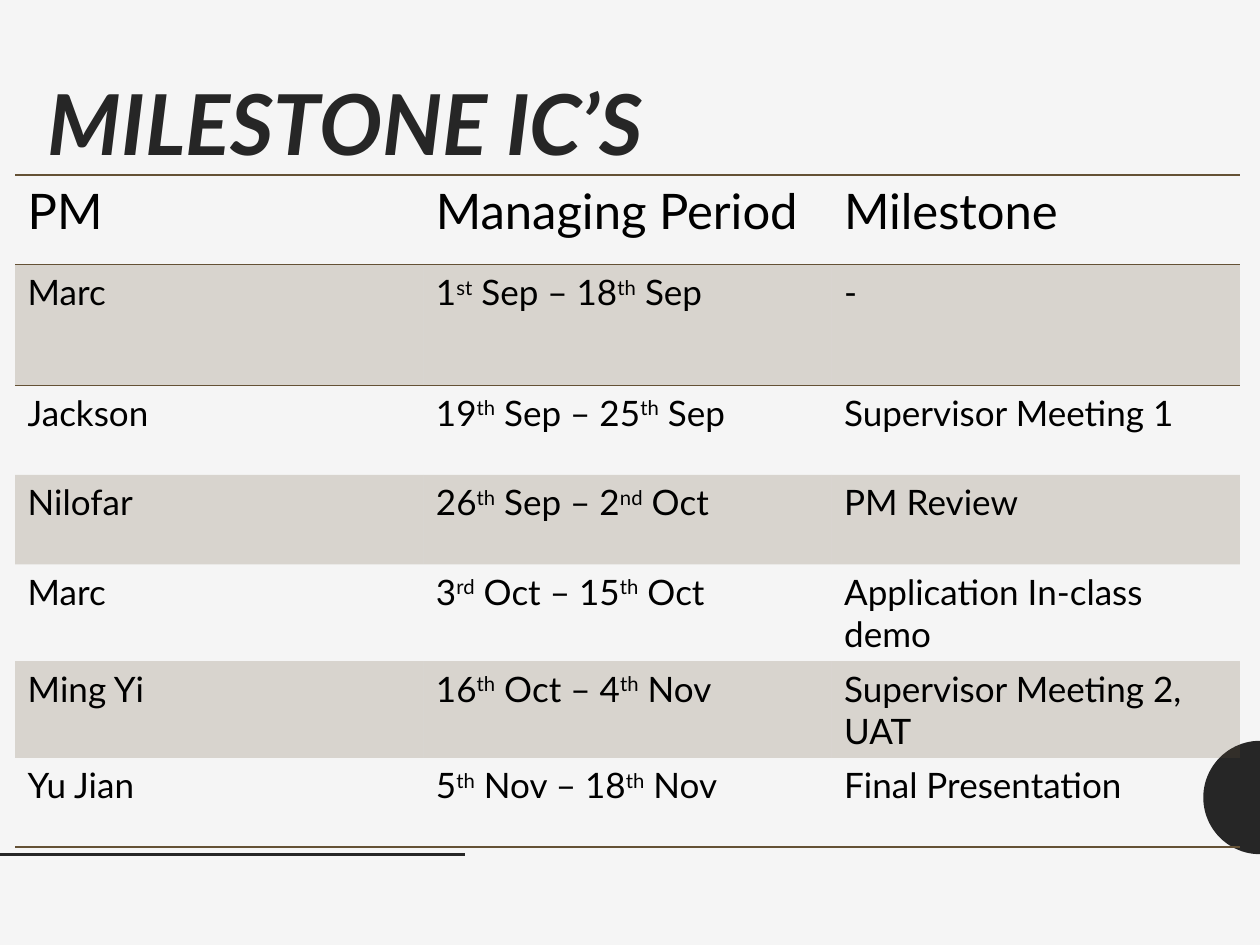
import math
from dataclasses import dataclass

from lxml import etree
from pptx import Presentation
from pptx.dml.color import RGBColor
from pptx.enum.shapes import MSO_CONNECTOR
from pptx.enum.text import MSO_ANCHOR
from pptx.oxml.ns import qn
from pptx.util import Inches, Pt

STRAIGHT = MSO_CONNECTOR.STRAIGHT
TOP = MSO_ANCHOR.TOP
PLAIN_TABLE_STYLE = "{2D5ABB26-0587-4C30-8999-92F81FD0307C}"


@dataclass(frozen=True)
class Theme:
    font: str = "Lato"
    background: str = "F5F5F5"
    dark: str = "262626"
    text: str = "000000"
    accent: str = "645135"
    band_opacity: int = 20
    title_size: int = 48
    header_size: int = 28
    body_size: int = 20


THEME = Theme()

HEADERS = ("PM", "Managing Period", "Milestone")
MILESTONES = (
    ("Marc", "1^st^ Sep – 18^th^ Sep", "-"),
    ("Jackson", "19^th^ Sep – 25^th^ Sep", "Supervisor Meeting 1"),
    ("Nilofar", "26^th^ Sep – 2^nd^ Oct", "PM Review"),
    ("Marc", "3^rd^ Oct – 15^th^ Oct", "Application In-class demo"),
    ("Ming Yi", "16^th^ Oct – 4^th^ Nov", "Supervisor Meeting 2, UAT"),
    ("Yu Jian", "5^th^ Nov – 18^th^ Nov", "Final Presentation"),
)


def color(value):
    return RGBColor.from_string(value)


def write_text(frame, text, size, fill=THEME.text, bold=False, italic=False, spacing=None):
    frame.word_wrap = True
    paragraph = frame.paragraphs[0]
    paragraph.line_spacing = spacing
    for index, part in enumerate(text.split("^")):
        run = paragraph.add_run()
        run.text = part
        font = run.font
        font.name = THEME.font
        font.size = Pt(size)
        font.bold = bold
        font.italic = italic
        font.color.rgb = color(fill)
        if index % 2:
            run._r.get_or_add_rPr().set("baseline", "30000")


def add_title(slide, text):
    box = slide.shapes.add_textbox(Inches(0.28), Inches(0.61), Inches(7.64), Inches(5.42))
    box.text_frame.vertical_anchor = TOP
    write_text(box.text_frame, text, THEME.title_size, fill=THEME.dark,
               bold=True, italic=True, spacing=0.9)


def add_half_disc(slide, center_x, center_y, radius, steps=48):
    angles = [math.pi / 2 + math.pi * step / steps for step in range(steps + 1)]
    points = [(Inches(center_x + radius * math.cos(angle)),
               Inches(center_y + radius * math.sin(angle))) for angle in angles]
    builder = slide.shapes.build_freeform(*points[0])
    builder.add_line_segments(points[1:], close=True)
    shape = builder.convert_to_shape()
    shape.shadow.inherit = False
    shape.fill.solid()
    shape.fill.fore_color.rgb = color(THEME.dark)
    shape.line.fill.background()


def add_rule(slide, left, right, top):
    line = slide.shapes.add_connector(STRAIGHT, Inches(left), Inches(top), Inches(right), Inches(top))
    line.line.color.rgb = color(THEME.dark)
    line.line.width = Pt(2)
    etree.SubElement(line._element.spPr, qn("a:effectLst"))


def fill_cell(cell, banded):
    if not banded:
        cell.fill.background()
        return
    cell.fill.solid()
    cell.fill.fore_color.rgb = color(THEME.accent)
    tint = cell._tc.tcPr.find(".//" + qn("a:srgbClr"))
    etree.SubElement(tint, qn("a:alpha"), val=str(THEME.band_opacity * 1000))


def border_cell(cell, sides):
    properties = cell._tc.get_or_add_tcPr()
    for index, side in enumerate(sides):
        line = etree.Element(qn("a:ln" + side), w=str(Pt(1)))
        solid = etree.SubElement(line, qn("a:solidFill"))
        etree.SubElement(solid, qn("a:srgbClr"), val=THEME.accent)
        properties.insert(index, line)


def add_milestone_table(slide):
    rows = (HEADERS,) + MILESTONES
    frame = slide.shapes.add_table(len(rows), len(HEADERS), Inches(0.12), Inches(1.39),
                                   Inches(9.72), Inches(5.22))
    table = frame.table
    table.first_row = False
    table.horz_banding = False
    table._tbl.tblPr.find(qn("a:tableStyleId")).text = PLAIN_TABLE_STYLE
    for column in table.columns:
        column.width = Inches(3.24)
    last = len(rows) - 1
    for row_index, values in enumerate(rows):
        table.rows[row_index].height = Inches(0.96 if row_index == 1 else 0.71)
        size = THEME.body_size if row_index else THEME.header_size
        sides = {0: "TB", 1: "T", last: "B"}.get(row_index, "")
        for column_index, text in enumerate(values):
            cell = table.cell(row_index, column_index)
            write_text(cell.text_frame, text, size)
            fill_cell(cell, banded=row_index % 2 == 1)
            border_cell(cell, sides)


def main():
    presentation = Presentation()
    presentation.slide_width = Inches(10)
    presentation.slide_height = Inches(7.5)
    slide = presentation.slides.add_slide(presentation.slide_layouts[6])
    slide.background.fill.solid()
    slide.background.fill.fore_color.rgb = color(THEME.background)
    add_half_disc(slide, 10, 6.33, 0.45)
    add_rule(slide, 0, 3.69, 6.78)
    add_title(slide, "MILESTONE IC’S")
    add_milestone_table(slide)
    presentation.save("out.pptx")


if __name__ == "__main__":
    main()
